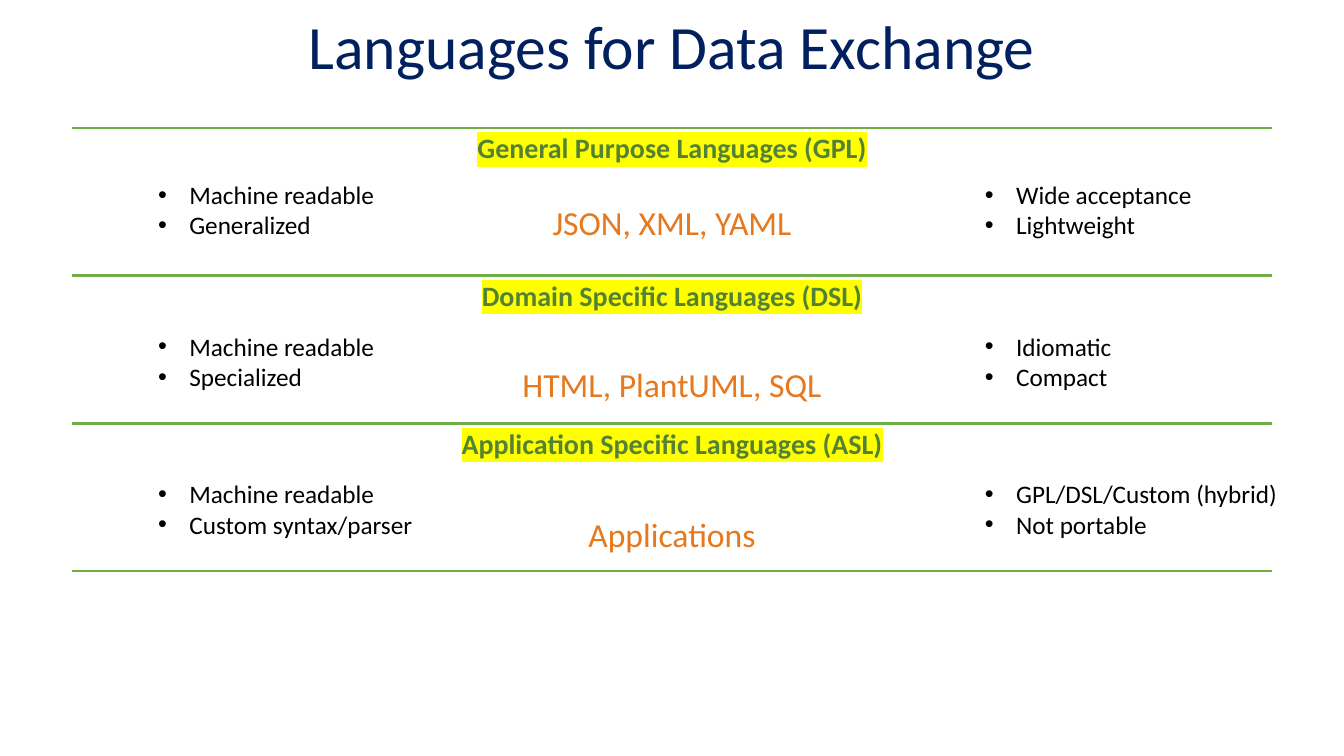
from lxml import etree
from pptx import Presentation, util as u
from pptx.dml.color import RGBColor
from pptx.enum import shapes, text
from pptx.oxml import ns

WIDTH, HEIGHT = 13.33, 7.5
BAND_TOP, BAND_PITCH = 1.27, 1.465
RULE_LEFT, RULE_RIGHT = 0.71, 12.62
LEFT_COLUMN, RIGHT_COLUMN = 1.47, 9.67

TITLE = {"size": u.Pt(44), "color": "002060"}
HEADING = {"size": u.Pt(20), "color": "548235", "bold": True}
EXAMPLE = {"size": u.Pt(24), "color": "E6781E"}
TRAIT = {"size": u.Pt(18), "color": "000000"}

# heading, examples, examples offset, left traits, right traits, traits offset, left and right widths
BANDS = [
    ("General Purpose Languages (GPL)", "JSON, XML, YAML", 0.68,
     ["Machine readable", "Generalized"], ["Wide acceptance", "Lightweight"], 0.46, 2.37, 2.37),
    ("Domain Specific Languages (DSL)", "HTML, PlantUML, SQL", 0.83,
     ["Machine readable", "Specialized"], ["Idiomatic", "Compact"], 0.5, 2.37, 2.37),
    ("Application Specific Languages (ASL)", "Applications", 0.85,
     ["Machine readable", "Custom syntax/parser"], ["GPL/DSL/Custom (hybrid)", "Not portable"],
     0.5, 2.75, 3.19),
]

deck = Presentation()
deck.slide_width, deck.slide_height = u.Inches(WIDTH), u.Inches(HEIGHT)
page = deck.slides.add_slide(deck.slide_layouts[6])


def add_text(lines, left, top, width, height, style, bullets=False, highlight=None):
    """Add a text box with one paragraph per line, bulleted or centred."""
    box = page.shapes.add_textbox(*map(u.Inches, (left, top, width, height)))
    frame = box.text_frame
    frame.word_wrap = True
    for number, line in enumerate(lines):
        para = frame.add_paragraph() if number else frame.paragraphs[0]
        if bullets:
            props = para._p.get_or_add_pPr()
            props.set("marL", str(u.Inches(0.31)))
            props.set("indent", str(-u.Inches(0.31)))
            etree.SubElement(props, ns.qn("a:buFont"), typeface="Arial")
            etree.SubElement(props, ns.qn("a:buChar"), char="•")
        else:
            para.alignment = text.PP_ALIGN.CENTER
        span = para.add_run()
        span.text = line
        for name, value in style.items():
            if name == "color":
                span.font.color.rgb = RGBColor.from_string(value)
            else:
                setattr(span.font, name, value)
        if highlight:
            marker = etree.SubElement(span.font._element, ns.qn("a:highlight"))
            etree.SubElement(marker, ns.qn("a:srgbClr"), val=highlight)
        span.font.name = "Calibri"
    return frame


title = add_text(["Languages for Data Exchange"], 0.22, 0.02, 12.89, 0.95, TITLE)
title.vertical_anchor = text.MSO_ANCHOR.MIDDLE
title.paragraphs[0].line_spacing = 0.9

for row in range(len(BANDS) + 1):
    y = u.Inches(BAND_TOP + row * BAND_PITCH)
    rule = page.shapes.add_connector(
        shapes.MSO_CONNECTOR.STRAIGHT, u.Inches(RULE_LEFT), y, u.Inches(RULE_RIGHT), y)
    rule.line.color.rgb = RGBColor.from_string("70AD47")
    rule.line.width = u.Pt(2)
    etree.SubElement(rule._element.spPr, ns.qn("a:effectLst"))

for row, band in enumerate(BANDS):
    heading, example, example_drop, left, right, trait_drop, left_width, right_width = band
    top = BAND_TOP + row * BAND_PITCH
    add_text([heading], (WIDTH - 5.45) / 2, top - 0.02, 5.45, 0.44, HEADING, highlight="FFFF00")
    add_text([example], (WIDTH - 3.46) / 2, top + example_drop, 3.46, 0.5, EXAMPLE)
    for traits, column, width in ((left, LEFT_COLUMN, left_width), (right, RIGHT_COLUMN, right_width)):
        add_text(traits, column, top + trait_drop, width, 0.71, TRAIT, bullets=True)

deck.save("out.pptx")
